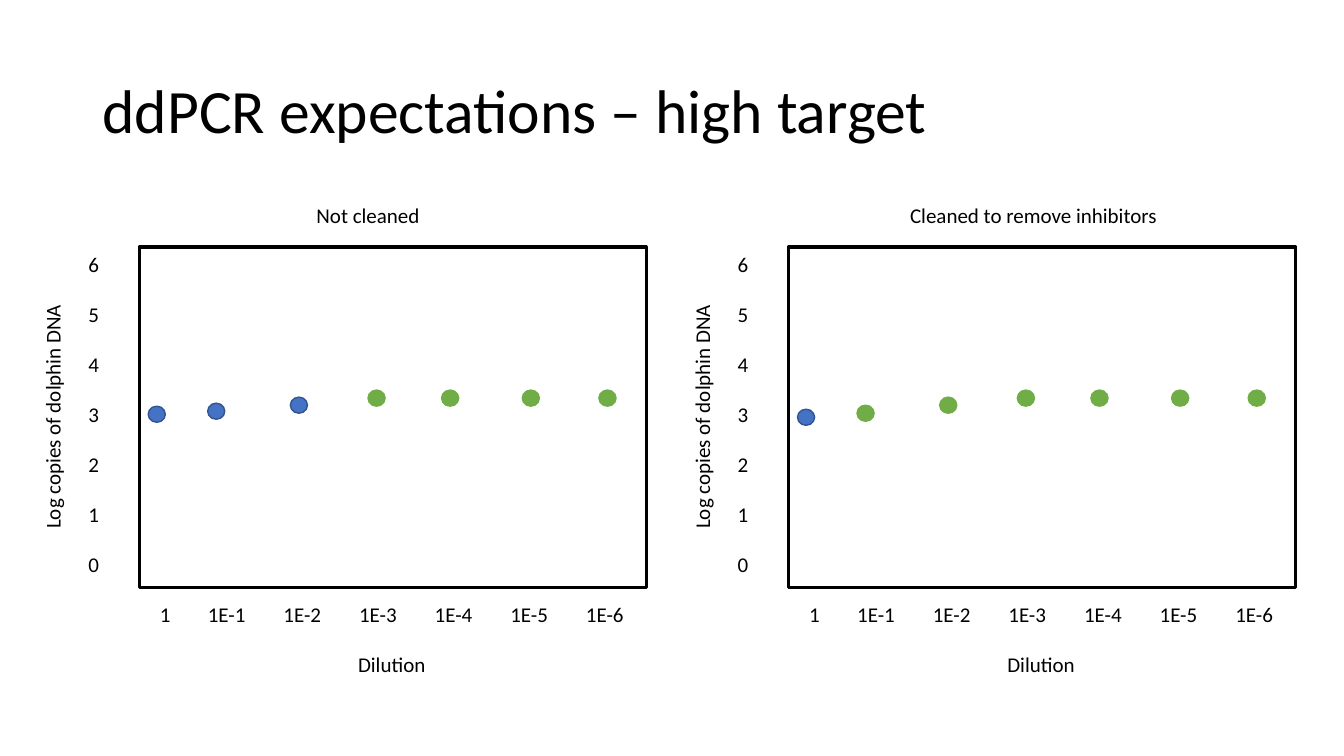
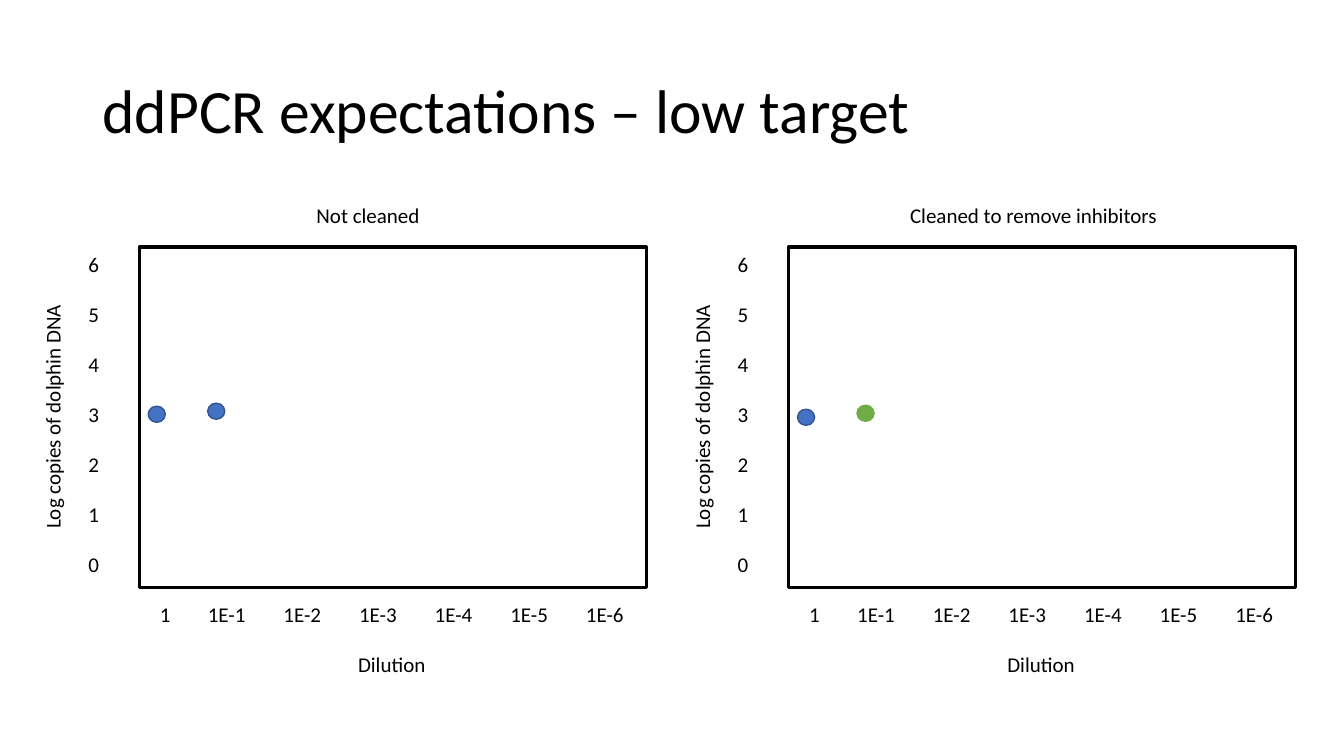
from dataclasses import dataclass

from lxml import etree
from pptx import Presentation
from pptx import util as u
from pptx.dml.color import RGBColor
from pptx.enum import shapes, text
from pptx.oxml import ns


@dataclass(frozen=True)
class Theme:
    font: str = "Calibri"
    ink: str = "000000"
    paper: str = "FFFFFF"
    blue: str = "4472C4"
    blue_edge: str = "325491"
    green: str = "70AD47"
    title_size: float = 44
    label_size: float = 15
    label_gap: float = 17.7
    frame_line: float = 2.25
    dot_line: float = 1


@dataclass(frozen=True)
class Panel:
    heading: str
    left: float
    heading_center: float
    blue_dots: int
    dot_tops: tuple


PLOT_TOP, PLOT_WIDTH, PLOT_HEIGHT = 2.45, 5.03, 3.38
DOT_OFFSETS = (0.09, 0.68, 1.5, 2.27, 3, 3.8, 4.56)
DILUTIONS = ["1"] + [f"1E-{n}" for n in range(1, 7)]
TICK_CENTERS = [0.26] + [0.87 + 0.75 * n for n in range(6)]
COUNTS = [str(n) for n in range(6, -1, -1)]
PANELS = (
    Panel("Not cleaned", 1.38, 3.65, 3, (4.03, 4, 3.94) + (3.87,) * 4),
    Panel("Cleaned to remove inhibitors", 7.82, 10.25, 1,
          (4.06, 4.02, 3.94) + (3.87,) * 4),
)
SLIDES = (
    ("ddPCR expectations – high target", 7),
    ("ddPCR expectations – low target", 2),
)


class Deck:
    def __init__(self, theme):
        self.theme = theme
        self.prs = Presentation()
        self.prs.slide_width = u.Inches(13.33)
        self.prs.slide_height = u.Inches(7.5)
        self.s = None

    def new_slide(self):
        self.s = self.prs.slides.add_slide(self.prs.slide_layouts[6])

    def label(self, parent, box, lines, size=None, align=text.PP_ALIGN.CENTER):
        sp = parent.add_textbox(*map(u.Inches, box))
        tf = sp.text_frame
        tf.word_wrap = True
        tf.text = "\n".join(lines)
        for i, p in enumerate(tf.paragraphs):
            p.alignment = align
            if i:
                p.space_before = u.Pt(self.theme.label_gap)
            for r in p.runs:
                r.font.name = self.theme.font
                r.font.size = u.Pt(size or self.theme.label_size)
                r.font.color.rgb = RGBColor.from_string(self.theme.ink)
        return sp

    def title(self, words):
        sp = self.label(self.s.shapes, (0.92, 0.4, 11.5, 1.45), [words],
                        self.theme.title_size, text.PP_ALIGN.LEFT)
        sp.text_frame.vertical_anchor = text.MSO_ANCHOR.MIDDLE
        sp.text_frame.paragraphs[0].line_spacing = 0.9

    def shape(self, parent, kind, box, fill, line, weight):
        sp = parent.add_shape(kind, *map(u.Inches, box))
        sp.shadow.inherit = False
        sp.fill.solid()
        sp.fill.fore_color.rgb = RGBColor.from_string(fill)
        sp.line.color.rgb = RGBColor.from_string(line)
        sp.line.width = u.Pt(weight)

    def dilution_axis(self, parent, left):
        ticks = "".join("\t" + d for d in DILUTIONS)
        sp = self.label(parent, (left - 0.1, 5.92, 5.21, 0.86),
                        [ticks, "Dilution"])
        p = sp.text_frame.paragraphs[0]
        p.alignment = text.PP_ALIGN.LEFT
        tabs = etree.Element(ns.qn("a:tabLst"))
        for center in TICK_CENTERS:
            etree.SubElement(tabs, ns.qn("a:tab"),
                             pos=str(u.Inches(center)), algn="ctr")
        p._p.get_or_add_pPr().append(tabs)

    def copies_axis(self, parent, left):
        self.label(parent, (left - 0.9, PLOT_TOP, 0.9, PLOT_HEIGHT), COUNTS)
        sp = self.label(parent, (left - 2.1, 3.96, 2.48, 0.35),
                        ["Log copies of dolphin DNA"])
        sp.text_frame.margin_left = sp.text_frame.margin_right = 0
        sp.rotation = 270

    def panel(self, panel, shown):
        t = self.theme
        group = self.s.shapes.add_group_shape().shapes
        self.shape(group, shapes.MSO_SHAPE.RECTANGLE,
                   (panel.left, PLOT_TOP, PLOT_WIDTH, PLOT_HEIGHT),
                   t.paper, t.ink, t.frame_line)
        self.dilution_axis(group, panel.left)
        self.copies_axis(group, panel.left)
        dots = list(zip(DOT_OFFSETS, panel.dot_tops))[:shown]
        for i, (offset, top) in enumerate(dots):
            if i < panel.blue_dots:
                fill, line = t.blue, t.blue_edge
            else:
                fill, line = t.green, t.green
            self.shape(group, shapes.MSO_SHAPE.OVAL,
                       (panel.left + offset, top, 0.17, 0.16),
                       fill, line, t.dot_line)
        self.label(self.s.shapes,
                   (panel.heading_center - 1.55, 1.96, 3.1, 0.35),
                   [panel.heading])


def main():
    deck = Deck(Theme())
    for title, shown in SLIDES:
        deck.new_slide()
        for panel in PANELS:
            deck.panel(panel, shown)
        deck.title(title)
    deck.prs.save("out.pptx")


if __name__ == "__main__":
    main()
